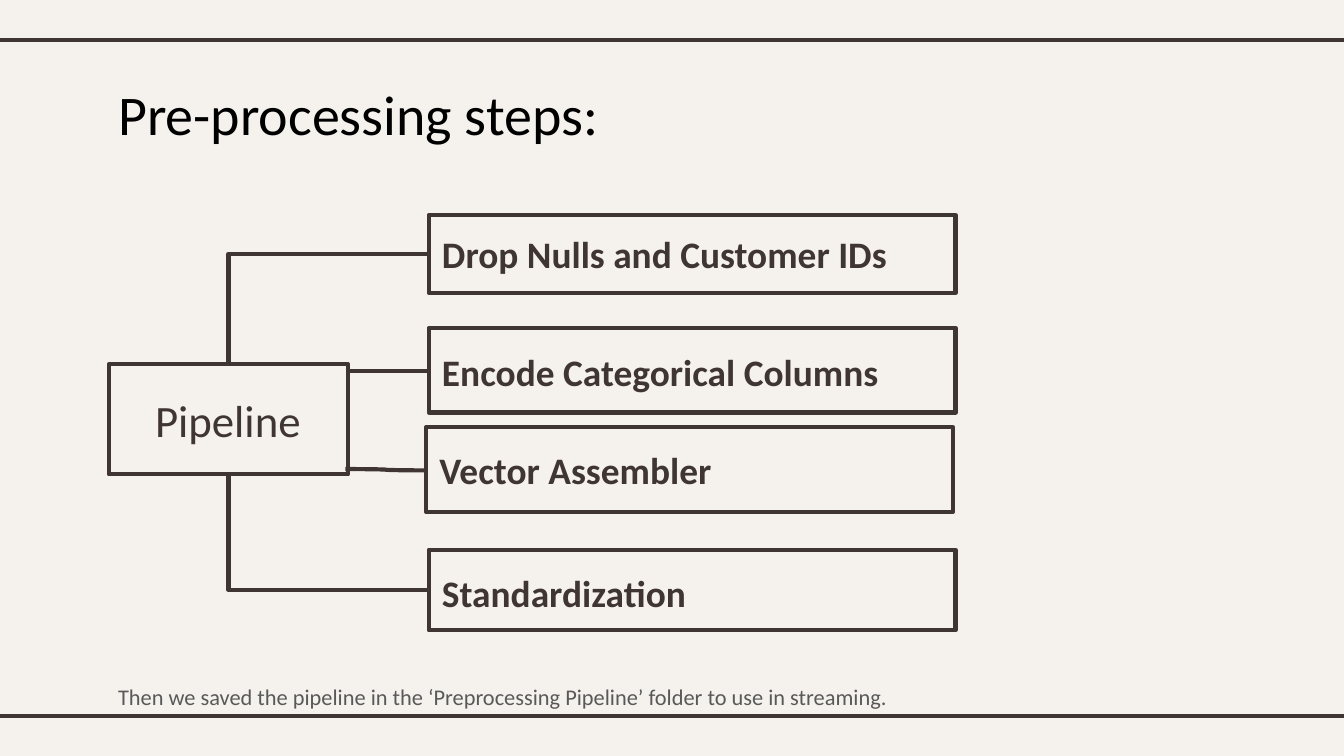
import dataclasses

import pptx
import pptx.dml.color
import pptx.enum.shapes
import pptx.enum.text
import pptx.oxml.ns
import pptx.util
from lxml import etree

Inches = pptx.util.Inches
Kind = pptx.enum.shapes.MSO_CONNECTOR
Form = pptx.enum.shapes.MSO_SHAPE
Align = pptx.enum.text.PP_ALIGN

FONT = "Calibri"
DARK = "3F3533"
GRAY = "595959"
PAPER = "F5F2EE"
BLACK = "000000"
WIDE = 3.92


@dataclasses.dataclass
class Box:
    left: float
    top: float
    width: float
    height: float


@dataclasses.dataclass
class Step:
    text: str
    frame: Box
    label: Box


@dataclasses.dataclass
class Point:
    x: float
    y: float


PIPE = Box(0.81, 2.71, 1.78, 0.82)
MID = PIPE.left + PIPE.width / 2
BASE = PIPE.top + PIPE.height

STEPS = [
    Step("Drop Nulls and Customer IDs",
         Box(3.19, 1.6, WIDE, 0.58), Box(3.19, 1.62, WIDE, 0.54)),
    Step("Encode Categorical Columns",
         Box(3.19, 2.44, WIDE, 0.63), Box(3.19, 2.5, WIDE, 0.56)),
    Step("Vector Assembler",
         Box(3.17, 3.18, WIDE, 0.63), Box(3.17, 3.23, WIDE, 0.56)),
    Step("Standardization",
         Box(3.19, 4.09, WIDE, 0.6), Box(3.19, 4.14, 3.39, 0.46)),
]


def color(code: str) -> pptx.dml.color.RGBColor:
    return pptx.dml.color.RGBColor.from_string(code)


def place(shape, box: Box) -> None:
    shape.left, shape.top = Inches(box.left), Inches(box.top)
    shape.width, shape.height = Inches(box.width), Inches(box.height)


def stroke(shape) -> None:
    shape.line.color.rgb = color(DARK)
    shape.line.width = pptx.util.Pt(2.25)


def write(shape, text: str, size: float, code: str = DARK,
          bold: bool = False, align=Align.LEFT) -> None:
    frame = shape.text_frame
    frame.word_wrap = True
    frame.auto_size = pptx.enum.text.MSO_AUTO_SIZE.NONE
    frame.vertical_anchor = pptx.enum.text.MSO_ANCHOR.TOP
    frame.margin_left = frame.margin_right = Inches(0.1)
    frame.margin_top = frame.margin_bottom = Inches(0.1)
    para = frame.paragraphs[0]
    para.alignment = align
    run = para.add_run()
    run.text = text
    run.font.name = FONT
    run.font.size = pptx.util.Pt(size)
    run.font.bold = bold
    run.font.color.rgb = color(code)


def label(slide, box: Box, text: str, size: float, **style) -> None:
    shape = slide.shapes.add_textbox(0, 0, 0, 0)
    place(shape, box)
    write(shape, text, size, **style)


def outline(slide, form, box: Box):
    shape = slide.shapes.add_shape(form, 0, 0, 0, 0)
    place(shape, box)
    shape.shadow.inherit = False
    shape.fill.background()
    stroke(shape)
    return shape


def link(slide, kind, start: Point, end: Point):
    line = slide.shapes.add_connector(
        kind, Inches(start.x), Inches(start.y), Inches(end.x), Inches(end.y))
    stroke(line)
    etree.SubElement(line._element.spPr, pptx.oxml.ns.qn("a:effectLst"))
    return line


def elbow(slide, start: Point, end: Point) -> None:
    x, y = (start.x + end.x) / 2, (start.y + end.y) / 2
    across, down = (start.y - end.y) / 2, (end.x - start.x) / 2
    line = link(slide, Kind.ELBOW,
                Point(x - across, y - down), Point(x + across, y + down))
    props = line._element.spPr
    props.find(pptx.oxml.ns.qn("a:xfrm")).set("rot", str(270 * 60000))
    props.find(pptx.oxml.ns.qn("a:prstGeom")).set("prst", "bentConnector2")


def main() -> None:
    deck = pptx.Presentation()
    deck.slide_width, deck.slide_height = Inches(10), Inches(10 * 9 / 16)
    slide = deck.slides.add_slide(deck.slide_layouts[5])
    slide.background.fill.solid()
    slide.background.fill.fore_color.rgb = color(PAPER)

    for y in (0.3, 5.33):
        link(slide, Kind.STRAIGHT, Point(-0.08, y), Point(10.08, y))

    title = slide.shapes.title
    place(title, Box(0.78, 0.49, 8.44, 0.63))
    write(title, "Pre-processing steps:", 30, code=BLACK)

    pipe = outline(slide, Form.ROUNDED_RECTANGLE, PIPE)
    pipe.adjustments[0] = 0
    label(slide, Box(0.99, 2.82, 1.41, 0.63), "Pipeline", 24,
          align=Align.CENTER)

    for step in STEPS:
        outline(slide, Form.RECTANGLE, step.frame)
        label(slide, step.label, step.text, 20, bold=True)

    elbow(slide, Point(MID, PIPE.top), Point(3.19, 1.89))
    elbow(slide, Point(MID, BASE), Point(3.19, 4.39))
    link(slide, Kind.CURVE, Point(2.59, 2.76), Point(3.19, 2.76))
    link(slide, Kind.CURVE, Point(2.57, 3.49), Point(3.17, 3.5))

    label(slide, Box(0.78, 4.98, 7.82, 0.21),
          "Then we saved the pipeline in the ‘Preprocessing Pipeline’ "
          "folder to use in streaming.", 12, code=GRAY)
    deck.save("out.pptx")


if __name__ == "__main__":
    main()
